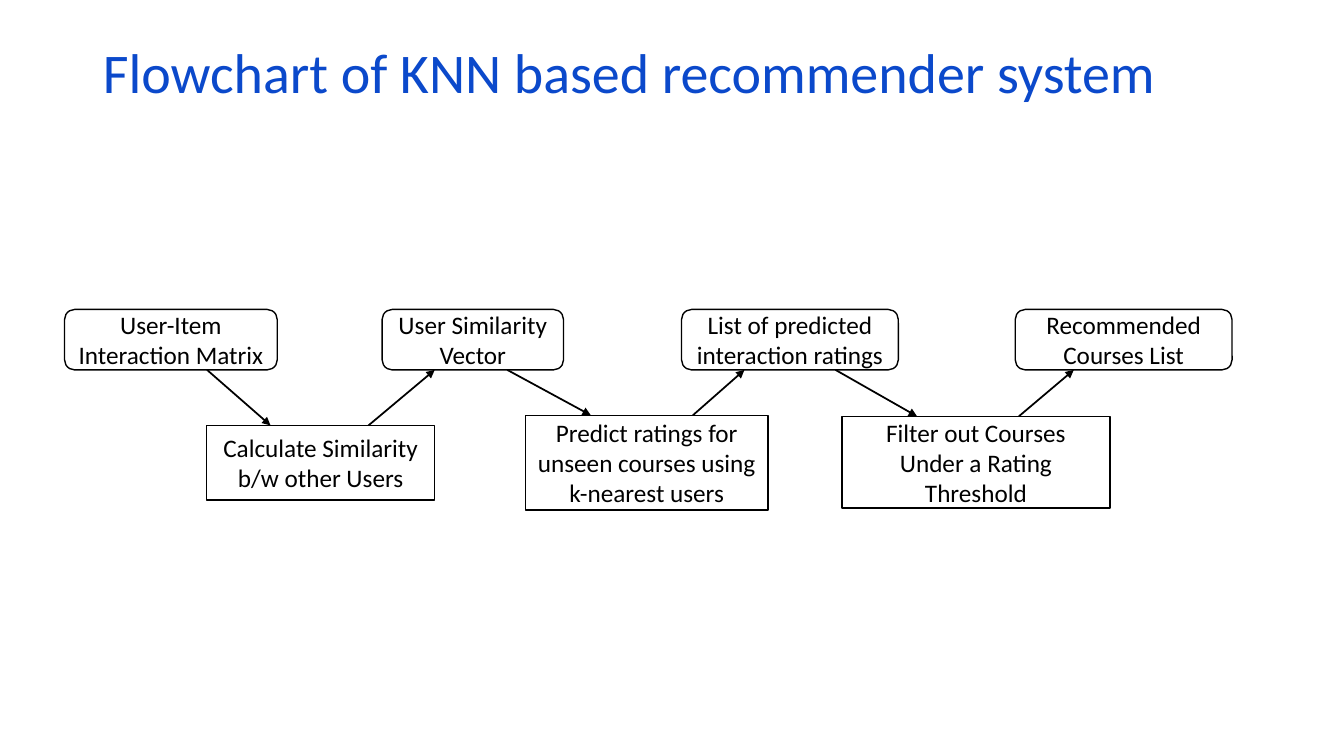
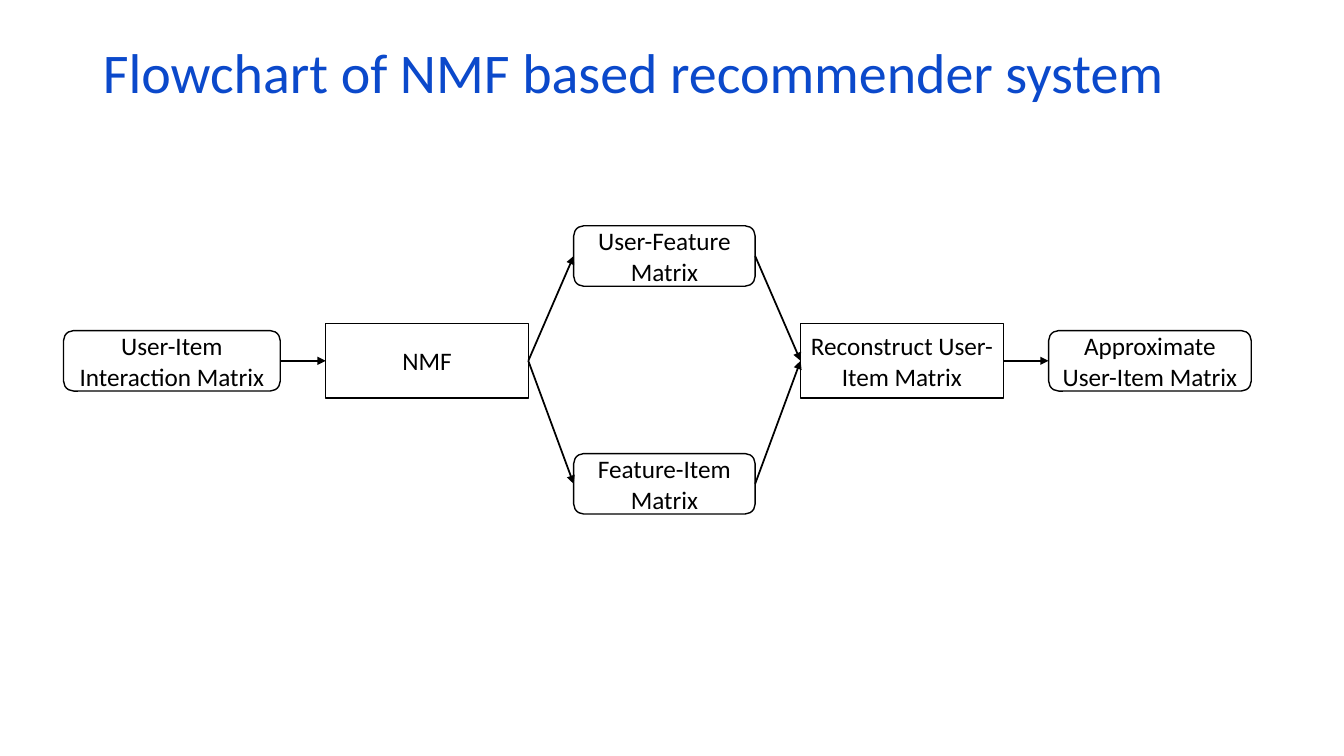
from lxml import etree
from pptx import Presentation
from pptx.dml.color import RGBColor
from pptx.enum.shapes import MSO_CONNECTOR, MSO_SHAPE
from pptx.enum.text import MSO_ANCHOR, MSO_AUTO_SIZE, PP_ALIGN
from pptx.oxml.ns import qn
from pptx.util import Inches, Pt

ROUND, RECT = MSO_SHAPE.ROUNDED_RECTANGLE, MSO_SHAPE.RECTANGLE
STRAIGHT = MSO_CONNECTOR.STRAIGHT
CENTER, LEFT = PP_ALIGN.CENTER, PP_ALIGN.LEFT
TOP, MIDDLE = MSO_ANCHOR.TOP, MSO_ANCHOR.MIDDLE
NO_FIT = MSO_AUTO_SIZE.NONE

COLORS = {"title": "0B49CB", "ink": "000000", "paper": "FFFFFF"}
FONT = "Calibri"
SLIDE_W, SLIDE_H = 13.33, 7.5
TITLE_BOX = (0.92, 0.4, 11.5, 1.45)
TITLE_ONLY = 5
GRID = 100
TOP_SIDE, BOTTOM_SIDE = 0, 1
RIGHT_SITE, LEFT_SITE = 3, 1


def rgb(name):
    return RGBColor.from_string(COLORS[name])


def style(p, size, color, align):
    p.alignment = align
    p.font.name = FONT
    p.font.size = Pt(size)
    p.font.color.rgb = rgb(color)


def add_titled_slide(prs, title):
    s = prs.slides.add_slide(prs.slide_layouts[TITLE_ONLY])
    sp = s.shapes.title
    sp.left, sp.top, sp.width, sp.height = map(Inches, TITLE_BOX)
    tf = sp.text_frame
    tf.text = title
    tf.word_wrap = True
    tf.auto_size = NO_FIT
    tf.vertical_anchor = TOP
    p = tf.paragraphs[0]
    p.line_spacing = 0.9
    style(p, 40, "title", LEFT)
    return s


def add_node(s, box, cell, kind, text, inset=0.08):
    x, y, w, h = box
    col, row, cols, rows = cell
    sp = s.shapes.add_shape(
        kind, Inches(x + col * w / GRID), Inches(y + row * h / GRID),
        Inches(cols * w / GRID), Inches(rows * h / GRID))
    sp.shadow.inherit = False
    if kind == RECT:
        sp.fill.solid()
        sp.fill.fore_color.rgb = rgb("paper")
    else:
        sp.fill.background()
    sp.line.color.rgb = rgb("ink")
    sp.line.width = Pt(1)
    tf = sp.text_frame
    tf.text = text
    tf.word_wrap = True
    tf.vertical_anchor = MIDDLE
    tf.margin_left = tf.margin_right = Inches(inset)
    style(tf.paragraphs[0], 18, "ink", CENTER)
    return sp


def add_arrow(s, start, end):
    c = s.shapes.add_connector(STRAIGHT, *start, *end)
    c.line.color.rgb = rgb("ink")
    c.line.width = Pt(1.25)
    etree.SubElement(c.line._get_or_add_ln(), qn("a:tailEnd"), type="triangle")
    etree.SubElement(c._element.spPr, qn("a:effectLst"))
    return c


def edge_point(sp, share, side):
    return sp.left + int(sp.width * share), sp.top + sp.height * side


def add_zigzag_flow(s, box):
    data = [
        (0, 18.22, "User-Item Interaction Matrix"),
        (27.2, 15.54, "User Similarity Vector"),
        (52.85, 18.57, "List of predicted interaction ratings"),
        (81.43, 18.57, "Recommended Courses List"),
    ]
    steps = [
        (12.18, 57.8, 19.52, 37.2, 0.08, "Calculate Similarity b/w other Users"),
        (39.46, 52.76, 20.81, 47.24, 0.08,
         "Predict ratings for unseen courses using k-nearest users"),
        (66.58, 53.27, 22.97, 45.73, 0.2,
         "Filter out Courses Under a Rating Threshold"),
    ]
    links = [(0.67, 0.28, 0.71, 0.29), (0.69, 0.27, 0.69, 0.29),
             (0.71, 0.28, 0.66, 0.27)]
    tops = [add_node(s, box, (col, 0, cols, 30.15), ROUND, text)
            for col, cols, text in data]
    lows = [add_node(s, box, cell, RECT, text, inset)
            for *cell, inset, text in steps]
    for source, step, target, shares in zip(tops, lows, tops[1:], links):
        leave, enter, rise, land = shares
        add_arrow(s, edge_point(source, leave, BOTTOM_SIDE),
                  edge_point(step, enter, TOP_SIDE))
        add_arrow(s, edge_point(step, rise, TOP_SIDE),
                  edge_point(target, land, BOTTOM_SIDE))


def add_branching_flow(s, box):
    widths = [18.25, 17.06, 15.28, 17.06, 17.06]
    gap = (GRID - sum(widths)) / (len(widths) - 1)
    lefts = [sum(widths[:i]) + gap * i for i in range(len(widths))]
    heights = {ROUND: 20.98, RECT: 25.87}
    high, mid, low = 10.49, 46.85, 89.51
    parts = [
        (0, mid, ROUND, "User-Item Interaction Matrix"),
        (1, mid, RECT, "NMF"),
        (2, high, ROUND, "User-Feature Matrix"),
        (2, low, ROUND, "Feature-Item Matrix"),
        (3, mid, RECT, "Reconstruct User-Item Matrix"),
        (4, mid, ROUND, "Approximate User-Item Matrix"),
    ]
    nodes = []
    for i, center, kind, text in parts:
        rows = heights[kind]
        cell = (lefts[i], center - rows / 2, widths[i], rows)
        nodes.append(add_node(s, box, cell, kind, text))
    for a, b in [(0, 1), (1, 2), (1, 3), (2, 4), (3, 4), (4, 5)]:
        c = add_arrow(s, (0, 0), (0, 0))
        c.begin_connect(nodes[a], RIGHT_SITE)
        c.end_connect(nodes[b], LEFT_SITE)


def main():
    prs = Presentation()
    prs.slide_width, prs.slide_height = Inches(SLIDE_W), Inches(SLIDE_H)
    s = add_titled_slide(prs, "Flowchart of KNN based recommender system")
    add_zigzag_flow(s, (0.64, 3.07, 11.58, 1.99))
    s = add_titled_slide(prs, "Flowchart of NMF based recommender system")
    add_branching_flow(s, (0.63, 2.24, 11.78, 2.86))
    prs.save("out.pptx")


if __name__ == "__main__":
    main()
